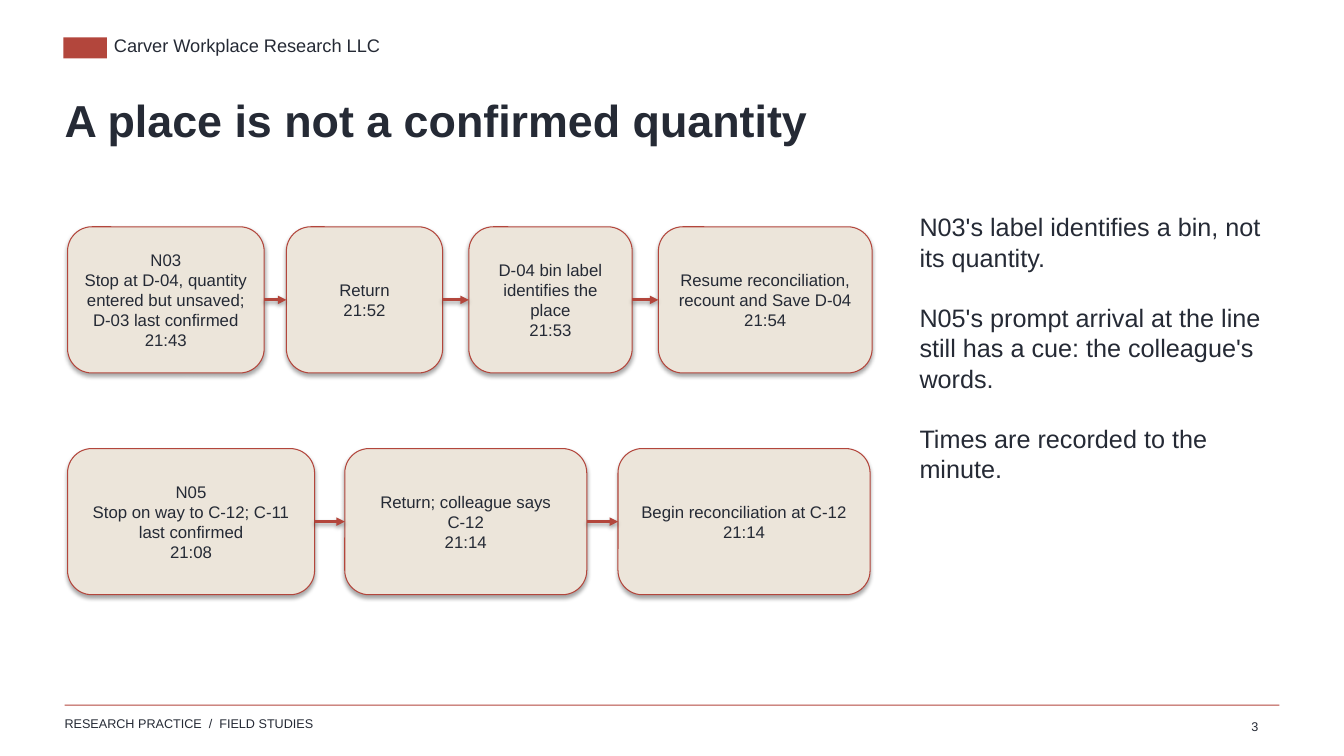
from dataclasses import dataclass
from itertools import pairwise

from lxml import etree
from pptx import Presentation
from pptx.dml import color
from pptx.enum import shapes, text
from pptx.oxml import ns
from pptx.util import Inches, Pt

FONT = "Arial"
INK = "252A35"
RED = "B3463C"
SAND = "ECE5DA"
STEP_HEIGHT = 1.45


@dataclass(frozen=True)
class Step:
    left: float
    width: float
    lines: tuple[str, ...]


@dataclass(frozen=True)
class Sequence:
    top: float
    steps: tuple[Step, ...]


@dataclass(frozen=True)
class Label:
    left: float
    top: float
    width: float
    height: float
    size: float
    lines: tuple[str, ...]
    bold: bool = False
    wrap: bool = True
    align: text.PP_ALIGN = text.PP_ALIGN.LEFT
    margins: tuple[float, float, float, float] = (0, 0, 0, 0.05)
    gap: float = 0


SEQUENCES = (
    Sequence(2.25, (
        Step(0.67, 1.95, ("N03", "Stop at D-04, quantity entered but unsaved; D-03 last confirmed", "21:43")),
        Step(2.84, 1.55, ("Return", "21:52")),
        Step(4.65, 1.62, ("D-04 bin label identifies the place", "21:53")),
        Step(6.53, 2.12, ("Resume reconciliation, recount and Save D-04", "21:54")),
    )),
    Sequence(4.45, (
        Step(0.67, 2.45, ("N05", "Stop on way to C-12; C-11 last confirmed", "21:08")),
        Step(3.42, 2.4, ("Return; colleague says", "C-12", "21:14")),
        Step(6.13, 2.5, ("Begin reconciliation at C-12", "21:14")),
    )),
)

LABELS = (
    Label(1.13, 0.34, 5.5, 0.3, 13, ("Carver Workplace Research LLC",), wrap=False),
    Label(0.64, 7.1, 5.5, 0.24, 9, ("RESEARCH PRACTICE  /  FIELD STUDIES",), wrap=False),
    Label(0.64, 0.92, 12, 1, 32, ("A place is not a confirmed quantity",), bold=True),
    Label(9.12, 2.1, 3.48, 4.39, 18, (
        "N03's label identifies a bin, not its quantity.",
        "N05's prompt arrival at the line still has a cue: the colleague's words.",
        "Times are recorded to the minute.",
    ), gap=21.6),
    Label(12.13, 7.08, 0.45, 0.2, 9, ("3",), align=text.PP_ALIGN.RIGHT,
          margins=(0.1, 0.05, 0.1, 0.05)),
)


def rgb(value: str) -> color.RGBColor:
    return color.RGBColor.from_string(value)


def write(frame, lines: tuple[str, ...], size: float, align: text.PP_ALIGN,
          margins: tuple[float, float, float, float], bold: bool = False,
          gap: float = 0) -> None:
    frame.margin_left, frame.margin_top, frame.margin_right, frame.margin_bottom = map(Inches, margins)
    frame.text = "\n".join(lines)
    for index, paragraph in enumerate(frame.paragraphs):
        paragraph.alignment = align
        if index:
            paragraph.space_before = Pt(gap)
        paragraph.font.name = FONT
        paragraph.font.size = Pt(size)
        paragraph.font.bold = bold
        paragraph.font.color.rgb = rgb(INK)


def add_label(slide, label: Label) -> None:
    box = slide.shapes.add_textbox(*map(Inches, (label.left, label.top, label.width, label.height)))
    box.text_frame.word_wrap = label.wrap
    write(box.text_frame, label.lines, label.size, label.align, label.margins, label.bold, label.gap)


def add_bar(slide, left: float, top: float, width: float, height: float) -> None:
    bar = slide.shapes.add_shape(shapes.MSO_SHAPE.RECTANGLE, *map(Inches, (left, top, width, height)))
    bar.shadow.inherit = False
    bar.fill.solid()
    bar.fill.fore_color.rgb = rgb(RED)
    bar.line.fill.background()


def add_shadow(properties, opacity: int, distance: float) -> None:
    effects = etree.SubElement(properties, ns.qn("a:effectLst"))
    shadow = etree.SubElement(effects, ns.qn("a:outerShdw"), blurRad=str(Pt(3.1)),
                              dist=str(Pt(distance)), dir="5400000", rotWithShape="0")
    tint = etree.SubElement(shadow, ns.qn("a:srgbClr"), val="000000")
    etree.SubElement(tint, ns.qn("a:alpha"), val=str(opacity * 1000))


def add_step(slide, step: Step, top: float):
    card = slide.shapes.add_shape(shapes.MSO_SHAPE.ROUNDED_RECTANGLE,
                                  *map(Inches, (step.left, top, step.width, STEP_HEIGHT)))
    card.fill.solid()
    card.fill.fore_color.rgb = rgb(SAND)
    card.line.color.rgb = rgb(RED)
    card.line.width = Pt(0.75)
    add_shadow(card.element.spPr, 35, 1.8)
    card.text_frame.word_wrap = True
    card.text_frame.vertical_anchor = text.MSO_ANCHOR.MIDDLE
    write(card.text_frame, step.lines, 12, text.PP_ALIGN.CENTER, (0.09, 0.05, 0.09, 0.05))
    return card


def add_arrow(slide, source, target) -> None:
    arrow = slide.shapes.add_connector(shapes.MSO_CONNECTOR.STRAIGHT, 0, 0, 0, 0)
    arrow.begin_connect(source, 3)
    arrow.end_connect(target, 1)
    arrow.line.color.rgb = rgb(RED)
    arrow.line.width = Pt(2)
    etree.SubElement(arrow.line._get_or_add_ln(), ns.qn("a:tailEnd"), type="triangle")
    add_shadow(arrow.element.spPr, 38, 1.6)


def main() -> None:
    deck = Presentation()
    deck.slide_width, deck.slide_height = Inches(13.33), Inches(7.5)
    slide = deck.slides.add_slide(deck.slide_layouts[6])

    add_bar(slide, 0.63, 0.37, 0.43, 0.21)
    add_bar(slide, 0.64, 6.99, 12.05, 0.01)
    for label in LABELS:
        add_label(slide, label)
    for sequence in SEQUENCES:
        cards = [add_step(slide, step, sequence.top) for step in sequence.steps]
        for source, target in pairwise(cards):
            add_arrow(slide, source, target)

    deck.save("out.pptx")


if __name__ == "__main__":
    main()
